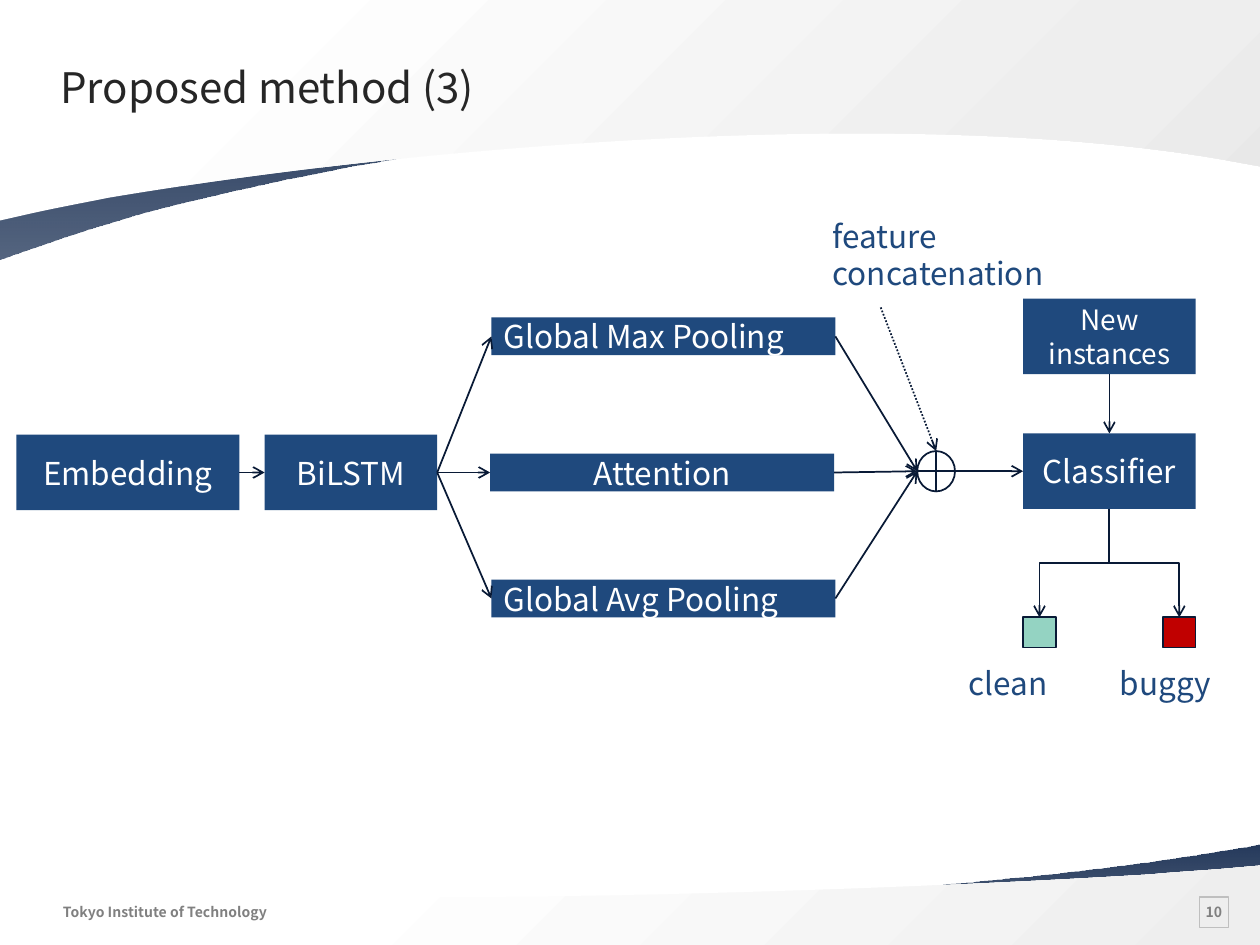
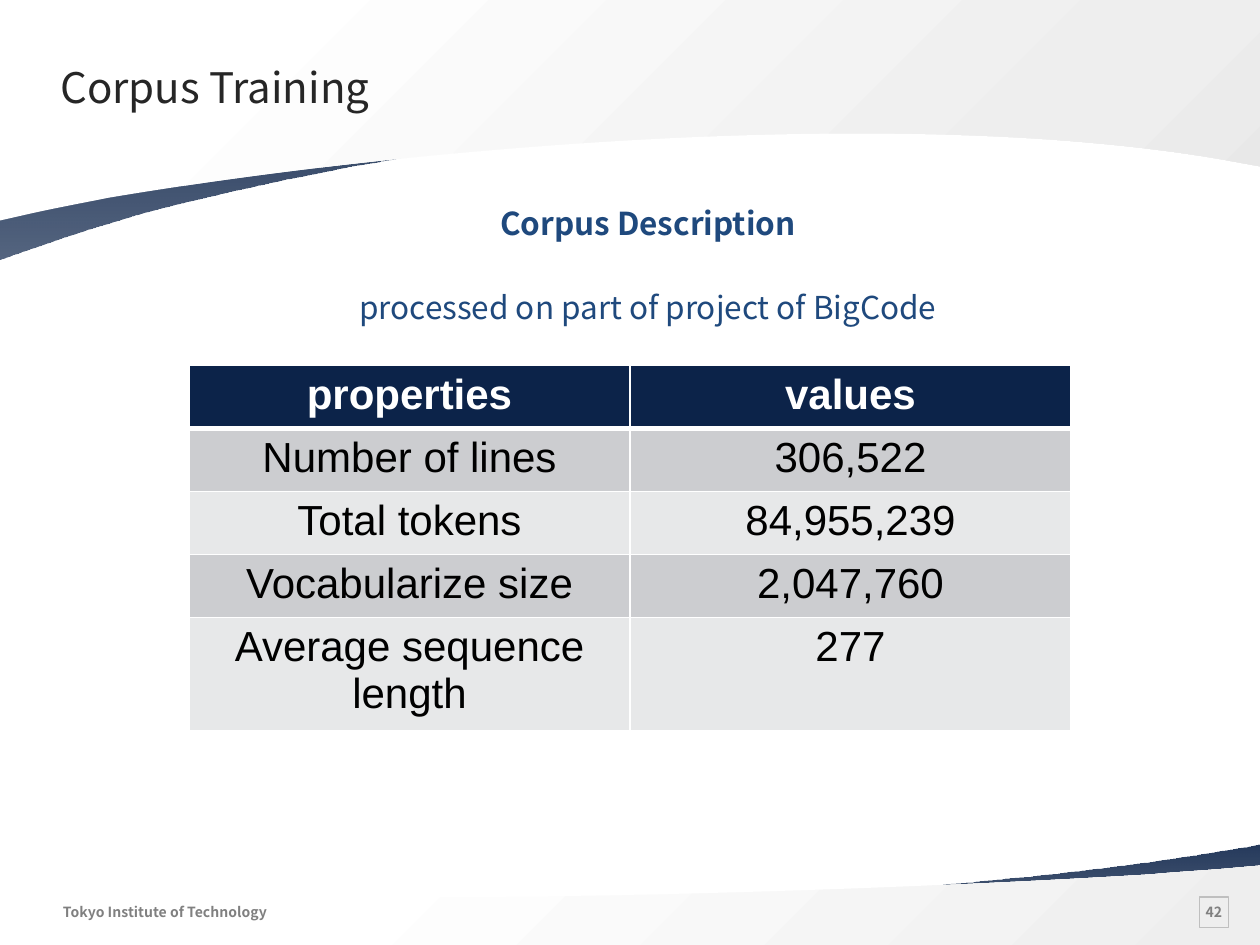
from lxml import etree
from pptx import Presentation, util as u
from pptx.dml.color import RGBColor
from pptx.enum import dml, shapes, text
from pptx.oxml import parse_xml
from pptx.oxml.ns import nsdecls, qn

PX = 9144
SANS = "Noto Sans CJK SC"
COLORS = {
    "navy": "0C2349", "blue": "1F497D", "line": "091A36", "title": "262626",
    "gray": "808080", "frame": "BFBFBF", "white": "FFFFFF", "black": "000000",
    "pale": "EEEEEE", "paler": "E8E8E8", "band1": "CCCDD0", "band2": "E7E8E9",
    "clean": "94D3C2", "buggy": "C00000",
}
FOOTER = "Tokyo Institute of Technology"
WEDGE = [(0, "navy", 90), (100, "navy", 70)]
BANDS = [
    ([(1000, 670), (1000, 735), (0, 735), (0, 708), (1, 708),
      (226, 741, 615, 717, 839, 693), (884, 688, 935, 681, 989, 672)], WEDGE, 90),
    ([(1000, 687), (1000, 712), (1000, 715), (1000, 750), (0, 750), (0, 715), (0, 712),
      (0, 703), (33, 705), (294, 721, 683, 708, 914, 694), (934, 692, 956, 691, 978, 689)],
     [(26, "white", 100), (100, "pale", 100)], 45),
    ([(0, 206), (0, 66), (1000, 66), (1000, 124), (999, 123),
      (774, 53, 385, 103, 161, 157), (116, 167, 65, 183, 11, 202)], WEDGE, 90),
    ([(0, 175), (0, 105), (0, 99), (0, 0), (1000, 0), (1000, 99), (1000, 105),
      (1000, 132), (967, 126), (706, 82, 317, 118, 86, 157), (66, 161, 44, 165, 22, 170)],
     [(17, "white", 100), (81, "pale", 100), (100, "paler", 100)], 45),
]

BOXES = {
    "Embedding": (13, 345, 177, 60, 18, "c"),
    "BiLSTM": (210, 345, 137, 60, 18, "c"),
    "Global Max Pooling": (390, 252, 273, 30, 18, "l"),
    "Attention": (389, 360, 273, 30, 18, "c"),
    "Global Avg Pooling": (390, 460, 273, 30, 18, "l"),
    "Classifier": (812, 344, 137, 60, 18, "c"),
    "New instances": (812, 237, 137, 60, 16, "c"),
}
POOLS = ["Global Max Pooling", "Attention", "Global Avg Pooling"]
CONCAT = (728, 358, 30, 32)
CONCAT_TOP, CONCAT_LEFT, CONCAT_BOTTOM, CONCAT_RIGHT = (743, 358), (728, 374), (743, 390), (758, 374)
TOP, LEFT, BOTTOM, RIGHT = range(4)
ARROWS = [
    (("Embedding", RIGHT), ("BiLSTM", LEFT)),
    *[(("BiLSTM", RIGHT), (pool, LEFT)) for pool in POOLS],
    *[((pool, RIGHT), CONCAT_LEFT) for pool in POOLS],
    (CONCAT_RIGHT, ("Classifier", LEFT)),
    (("New instances", BOTTOM), ("Classifier", TOP)),
]
CROSS = [(CONCAT_TOP, CONCAT_BOTTOM), (CONCAT_RIGHT, CONCAT_LEFT)]
OUTCOMES = [("clean", 812, 759), ("buggy", 923, 879)]
FORK = (880, 404)
OUTCOME_TOP, OUTCOME_W, OUTCOME_H = 490, 26, 24

CAPTIONS = [
    ("Corpus Description ", (253, 157, 528, 41), True),
    ("processed on part of project of BigCode ", (243, 224, 548, 41), False),
]
CORPUS = [
    ("properties", "values"),
    ("Number of lines", "306,522"),
    ("Total tokens", "84,955,239"),
    ("Vocabularize size", "2,047,760"),
    ("Average sequence length", "277"),
]


def rgb(name):
    return RGBColor.from_string(COLORS[name])


def emu(*lengths):
    return [u.Emu(round(v * PX)) for v in lengths]


def set_font(font, size, color, bold, face):
    font.name, font.size, font.bold = face, u.Pt(size), bold
    font.color.rgb = rgb(color)


def set_align(p, align):
    p.alignment = text.PP_ALIGN.CENTER if align == "c" else text.PP_ALIGN.LEFT


def write(sp, words, size, color, align="l", bold=False, wrap=True, insets=(10, 5, 10, 5),
          anchor=text.MSO_ANCHOR.TOP):
    tf = sp.text_frame
    tf.word_wrap = wrap
    tf.vertical_anchor = anchor
    tf.margin_left, tf.margin_top, tf.margin_right, tf.margin_bottom = emu(*insets)
    p = tf.paragraphs[0]
    p.text = words
    set_align(p, align)
    set_font(p.font, size, color, bold, SANS)


def label(s, words, at, *args, **kwargs):
    write(s.shapes.add_textbox(*emu(*at)), words, *args, **kwargs)


def add_shape(s, kind, at, fill=None, line=None, width=1):
    sp = s.shapes.add_shape(kind, *emu(*at))
    sp.shadow.inherit = False
    if fill:
        sp.fill.solid()
        sp.fill.fore_color.rgb = rgb(fill)
    else:
        sp.fill.background()
    if line:
        sp.line.color.rgb = rgb(line)
        sp.line.width = u.Pt(width)
    else:
        sp.line.fill.background()
    return sp


def add_band(s, outline, stops, angle):
    corners = [seg[-2:] for seg in outline]
    left, top = (min(values) for values in zip(*corners))
    fb = s.shapes.build_freeform(*corners[0], scale=PX)
    fb.add_line_segments(corners[1:], close=True)
    sp = fb.convert_to_shape()
    sp.shadow.inherit = False
    sp.line.fill.background()
    sp.fill.background()
    spPr = sp._element.spPr
    for seg, line_to in zip(outline[1:], list(spPr.iter(qn("a:lnTo")))):
        if len(seg) == 6:
            curve = etree.Element(qn("a:cubicBezTo"))
            for x, y in zip(seg[::2], seg[1::2]):
                etree.SubElement(curve, qn("a:pt"), x=str(x - left), y=str(y - top))
            line_to.getparent().replace(line_to, curve)
    gs = "".join(
        f'<a:gs pos="{pos * 1000}"><a:srgbClr val="{COLORS[c]}"><a:alpha val="{alpha * 1000}"/>'
        f'</a:srgbClr></a:gs>' for pos, c, alpha in stops)
    grad = parse_xml(f'<a:gradFill {nsdecls("a")} rotWithShape="1"><a:gsLst>{gs}</a:gsLst>'
                     f'<a:lin ang="{angle * 60000}" scaled="0"/></a:gradFill>')
    spPr.replace(spPr.find(qn("a:noFill")), grad)


def add_line(s, start, end, kind=shapes.MSO_CONNECTOR.STRAIGHT, arrow=True, dash=None):
    c = s.shapes.add_connector(kind, *emu(*start, *end))
    c.line.color.rgb = rgb("line")
    c.line.width = u.Pt(1)
    if dash:
        c.line.dash_style = dash
    if arrow:
        etree.SubElement(c.line._get_or_add_ln(), qn("a:tailEnd"), type="arrow")
    etree.SubElement(c._element.spPr, qn("a:effectLst"))
    return c


def add_base(prs, title, number):
    s = prs.slides.add_slide(prs.slide_layouts[6])
    for band in BANDS:
        add_band(s, *band)
    sp = add_shape(s, shapes.MSO_SHAPE.RECTANGLE, (952, 712, 23, 24), line="frame", width=0.75)
    write(sp, str(number), 8, "gray", "c", True, False, (8, 8, 8, 8), text.MSO_ANCHOR.MIDDLE)
    label(s, FOOTER, (50, 712, 176, 23), 8, "gray", bold=True, wrap=False, insets=(0, 5, 10, 5))
    label(s, title, (40, 41, 900, 58), 24, "title", wrap=False, insets=(8, 8, 0, 8))
    return s


def add_method(s):
    boxes = {}
    for words, (*at, size, align) in BOXES.items():
        boxes[words] = add_shape(s, shapes.MSO_SHAPE.RECTANGLE, at, "blue")
        write(boxes[words], words, size, "white", align, anchor=text.MSO_ANCHOR.MIDDLE)
    add_shape(s, shapes.MSO_SHAPE.OVAL, CONCAT, line="line")
    for start, end in ARROWS:
        joins = [e if e[0] in boxes else None for e in (start, end)]
        c = add_line(s, *[(0, 0) if j else e for j, e in zip(joins, (start, end))])
        for join, connect in zip(joins, (c.begin_connect, c.end_connect)):
            if join:
                connect(boxes[join[0]], join[1])
    for start, end in CROSS:
        add_line(s, start, end, arrow=False)
    add_line(s, (699, 244), CONCAT_TOP, dash=dml.MSO_LINE.ROUND_DOT)
    label(s, "feature concatenation", (651, 167, 207, 78), 18, "blue")
    for name, left, label_left in OUTCOMES:
        add_shape(s, shapes.MSO_SHAPE.RECTANGLE, (left, OUTCOME_TOP, OUTCOME_W, OUTCOME_H), name, "line")
        label(s, name, (label_left, 522, 114, 32), 18, "blue")
        target = left + OUTCOME_W / 2
        drop, spread = OUTCOME_TOP - FORK[1], abs(target - FORK[0])
        mid_x, mid_y = (target + FORK[0]) / 2, (OUTCOME_TOP + FORK[1]) / 2
        rise = spread / 2 if target < FORK[0] else -spread / 2
        c = add_line(s, (mid_x - drop / 2, mid_y - rise), (mid_x + drop / 2, mid_y + rise),
                     shapes.MSO_CONNECTOR.ELBOW)
        c._element.spPr.find(qn("a:xfrm")).set("rot", str(90 * 60000))


def add_border(cell, side, width):
    ln = etree.SubElement(cell._tc.get_or_add_tcPr(), qn(f"a:ln{side}"), w=str(u.Pt(width)))
    fill = etree.SubElement(ln, qn("a:solidFill"))
    etree.SubElement(fill, qn("a:srgbClr"), val=COLORS["white"])


def add_corpus(s):
    for words, at, bold in CAPTIONS:
        label(s, words, at, 18, "blue", "c", bold)
    table = s.shapes.add_table(len(CORPUS), 2, *emu(150, 290, 700, 208)).table
    for i, row in enumerate(CORPUS):
        head = i == 0
        for j, words in enumerate(row):
            cell = table.cell(i, j)
            p = cell.text_frame.paragraphs[0]
            set_align(p, "c")
            r = p.add_run()
            r.text = words
            set_font(r.font, 24, "white" if head else "black", head, "Arial")
            for side in "LRTB":
                thick = (head and side == "B") or (i == 1 and side == "T")
                add_border(cell, side, 3 if thick else 1)
            cell.fill.solid()
            cell.fill.fore_color.rgb = rgb("navy" if head else "band1" if i % 2 else "band2")


def main():
    prs = Presentation()
    prs.slide_width, prs.slide_height = emu(1000, 750)
    add_method(add_base(prs, "Proposed method (3)", 10))
    add_corpus(add_base(prs, "Corpus Training", 42))
    prs.save("out.pptx")


if __name__ == "__main__":
    main()
